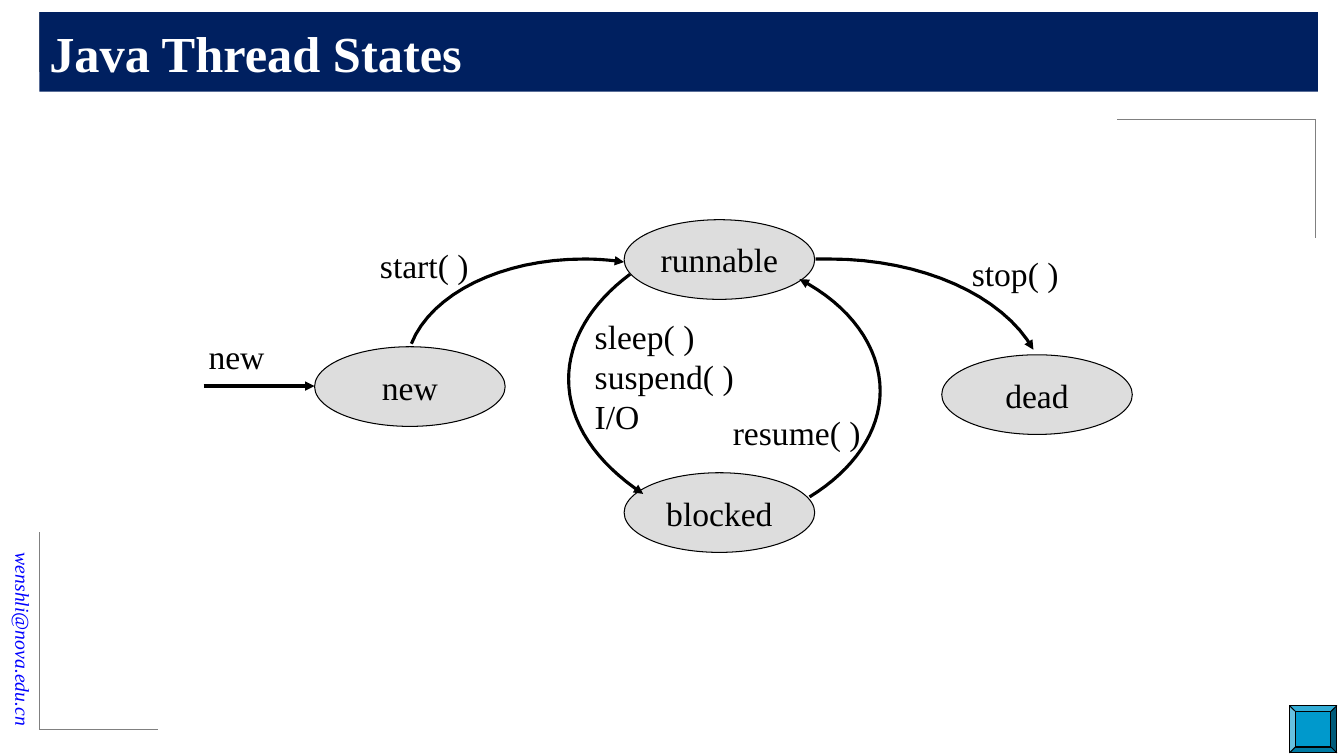
from pptx import Presentation
from pptx.dml.color import RGBColor
from pptx.enum.shapes import MSO_CONNECTOR, MSO_SHAPE
from pptx.enum.text import MSO_ANCHOR, PP_ALIGN
from pptx.oxml.ns import qn
from pptx.util import Inches, Pt
from lxml.etree import SubElement

COLORS = {"navy": "002060", "white": "FFFFFF", "black": "000000", "blue": "0000FF",
          "gray": "808080", "state": "DDDDDD", "button": "0099CC"}


def bezier(p0, p1, p2, p3, steps=16):
    """Points along a cubic curve, without its first point."""
    for i in range(1, steps + 1):
        t = i / steps
        weights = ((1 - t) ** 3, 3 * t * (1 - t) ** 2, 3 * t * t * (1 - t), t ** 3)
        yield tuple(sum(w * p[axis] for w, p in zip(weights, (p0, p1, p2, p3)))
                    for axis in (0, 1))


class SlideBuilder:
    font = "Times New Roman"

    def __init__(self, slide):
        self.s = slide

    def color(self, name):
        return RGBColor.from_string(COLORS[name])

    def outline(self, shape, color, width, arrow=False):
        shape.line.color.rgb = self.color(color)
        shape.line.width = Pt(width)
        if arrow:
            ln = shape.element.spPr.find(qn("a:ln"))
            SubElement(ln, qn("a:tailEnd"), type="triangle")

    def add_lines(self, shape, lines, size=24, color="black", align=PP_ALIGN.LEFT,
                  anchor=MSO_ANCHOR.TOP, wrap=False, bold=False, italic=False):
        """Fill a shape with one paragraph per line of text."""
        tf = shape.text_frame
        tf.word_wrap = wrap
        tf.vertical_anchor = anchor
        for i, line in enumerate(lines):
            p = tf.add_paragraph() if i else tf.paragraphs[0]
            p.alignment = align
            r = p.add_run()
            r.text = line
            r.font.name, r.font.size = self.font, Pt(size)
            r.font.bold, r.font.italic = bold, italic
            r.font.color.rgb = self.color(color)

    def shape(self, kind, x, y, w, h, fill, border=True):
        sp = self.s.shapes.add_shape(kind, Inches(x), Inches(y), Inches(w), Inches(h))
        sp.shadow.inherit = False
        sp.fill.solid()
        sp.fill.fore_color.rgb = self.color(fill)
        if border:
            self.outline(sp, "black", 0.75)
        else:
            sp.line.fill.background()
        return sp

    def text(self, x, y, w, h, lines, **style):
        sp = self.s.shapes.add_textbox(Inches(x), Inches(y), Inches(w), Inches(h))
        self.add_lines(sp, lines, **style)
        return sp

    def line(self, x1, y1, x2, y2, color="black", width=2.25, arrow=False):
        c = self.s.shapes.add_connector(MSO_CONNECTOR.STRAIGHT, Inches(x1), Inches(y1),
                                        Inches(x2), Inches(y2))
        self.outline(c, color, width, arrow)
        SubElement(c.element.spPr, qn("a:effectLst"))

    def corner(self, x, y, dx, dy):
        """Thin bracket with its corner at x, y and arms dx and dy."""
        self.line(x, y, x, y + dy, "gray", 0.5)
        self.line(x, y, x + dx, y, "gray", 0.5)

    def curve(self, points):
        """Arrow through chained cubic segments: a start, then three points each."""
        track = []
        for i in range(0, len(points) - 1, 3):
            track += bezier(*points[i:i + 4])
        x, y = points[0]
        fb = self.s.shapes.build_freeform(Inches(x), Inches(y))
        fb.add_line_segments([(Inches(px), Inches(py)) for px, py in track], close=False)
        sp = fb.convert_to_shape()
        sp.shadow.inherit = False
        sp.fill.background()
        self.outline(sp, "black", 2.25, arrow=True)

    def state(self, x, y, name):
        sp = self.shape(MSO_SHAPE.OVAL, x, y, 1.89, 0.79, "state")
        self.add_lines(sp, [name], align=PP_ALIGN.CENTER, anchor=MSO_ANCHOR.MIDDLE)


STATES = [(3.12, 3.44, "new"), (9.34, 3.52, "dead"),
          (6.19, 2.18, "runnable"), (6.19, 4.69, "blocked")]

# Each transition: curve points, label box, label lines
TRANSITIONS = [
    ([(4.08, 3.41), (4.28, 2.91), (4.98, 2.57), (5.79, 2.57),
      (5.92, 2.57), (6.06, 2.58), (6.19, 2.6)],
     (3.67, 2.38, 1.08, 0.5), ["start( )"]),
    ([(6.25, 2.72), (5.86, 3.01), (5.64, 3.38), (5.64, 3.76),
      (5.64, 4.19), (5.91, 4.59), (6.38, 4.9)],
     (5.8, 3.08, 1.6, 1.31), ["sleep( )", "suspend( )", "I/O"]),
    ([(8.03, 4.93), (8.47, 4.66), (8.73, 4.28), (8.73, 3.88),
      (8.73, 3.44), (8.43, 3.03), (7.93, 2.77)],
     (7.17, 4.04, 1.47, 0.5), ["resume( )"]),
    ([(8.09, 2.57), (8.13, 2.57), (8.18, 2.57), (8.23, 2.57),
      (9.14, 2.57), (9.95, 2.93), (10.25, 3.47)],
     (9.54, 2.46, 1.06, 0.5), ["stop( )"]),
]


def main():
    prs = Presentation()
    prs.slide_width, prs.slide_height = Inches(13.33), Inches(7.5)
    b = SlideBuilder(prs.slides.add_slide(prs.slide_layouts[6]))

    email = b.text(-1.09, 5.81, 2.64, 0.34, ["wenshli@nova.edu.cn"], size=14, color="blue",
                   align=PP_ALIGN.RIGHT, anchor=MSO_ANCHOR.MIDDLE, wrap=True, italic=True)
    email.rotation = 90

    b.corner(0.39, 0.12, 1.97, 0.59)
    b.corner(0.39, 7.24, 1.18, -1.96)
    b.corner(13.05, 1.18, -1.97, 1.18)

    title = b.shape(MSO_SHAPE.RECTANGLE, 0.39, 0.12, 12.68, 0.79, "navy", border=False)
    b.add_lines(title, ["Java Thread States"], size=36, color="white",
                anchor=MSO_ANCHOR.MIDDLE, wrap=True, bold=True)

    for x, y, name in STATES:
        b.state(x, y, name)

    b.line(2.02, 3.83, 3.12, 3.83, arrow=True)
    b.text(1.97, 3.28, 0.76, 0.5, ["new"])
    for points, box, lines in TRANSITIONS:
        b.curve(points)
        b.text(*box, lines)

    b.shape(MSO_SHAPE.BEVEL, 12.79, 7, 0.47, 0.47, "button")
    prs.save("out.pptx")


if __name__ == "__main__":
    main()
